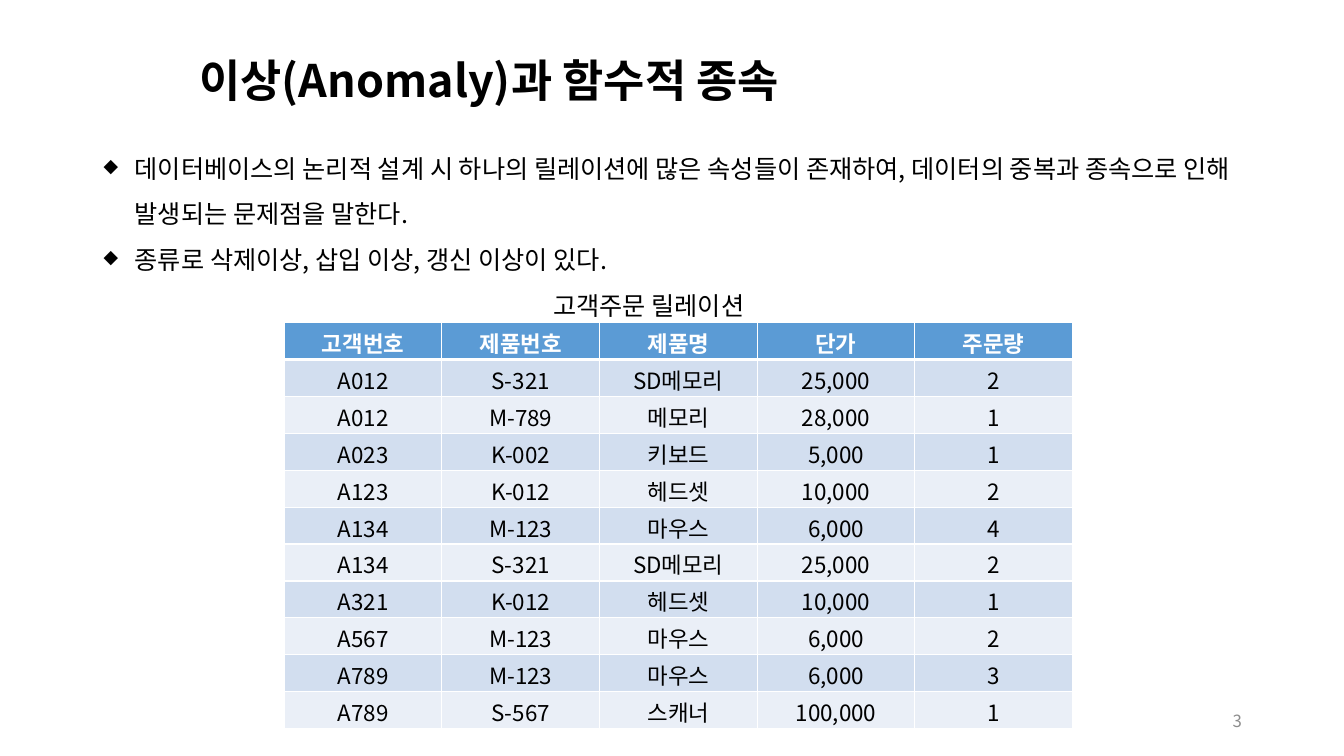
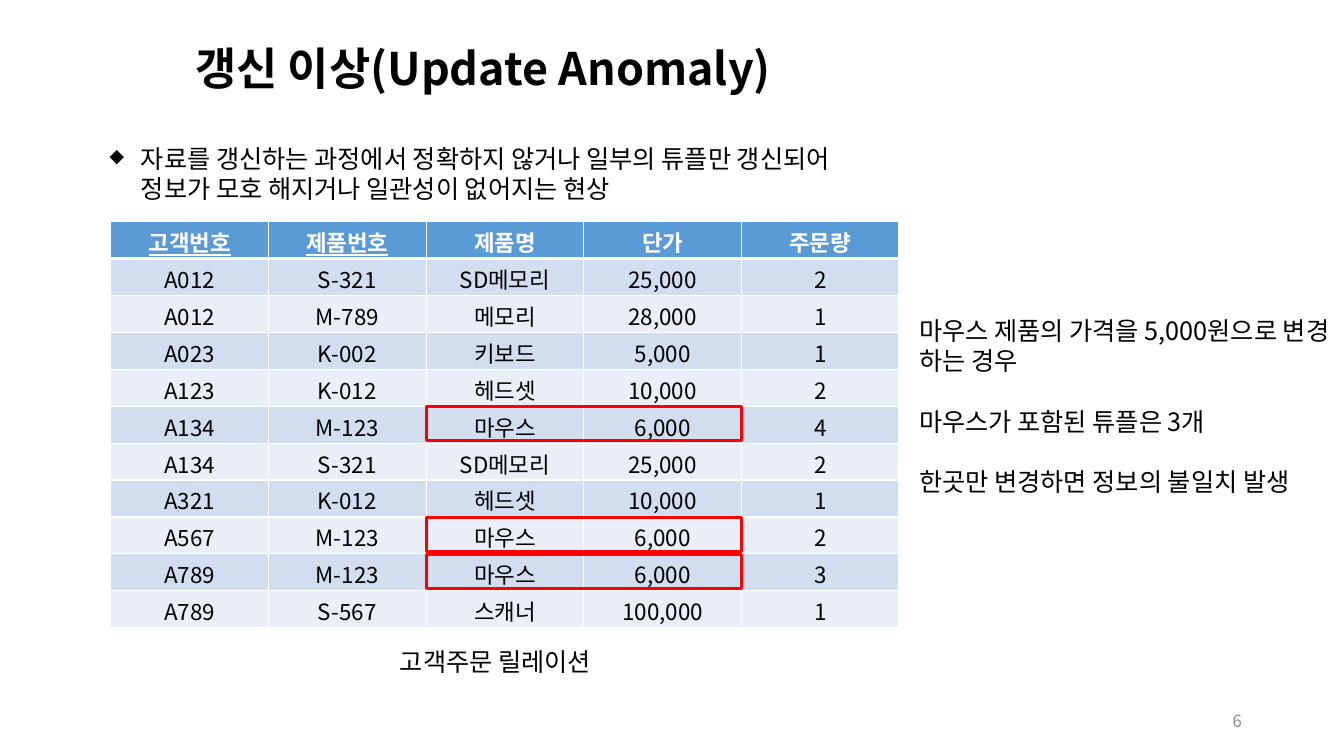
from lxml.etree import SubElement
from pptx import Presentation
from pptx.dml.color import RGBColor
from pptx.enum.shapes import MSO_SHAPE as Shape
from pptx.enum.text import MSO_ANCHOR as Anchor, MSO_AUTO_SIZE as AutoSize, PP_ALIGN as Align
from pptx.oxml import parse_xml
from pptx.oxml.ns import nsdecls, qn
from pptx.util import Inches, Pt

FONT = "Noto Sans CJK KR"
BLACK, WHITE, GRAY, RED = "000000", "FFFFFF", "8C8C8C", "FF0000"
HEADER, BANDS = "5B9BD5", ("EAEFF7", "D2DEEF")
TABLE_WIDTH, TABLE_HEIGHT = 58.65, 53.73
CAPTION = "고객주문 릴레이션"
ORDERS = [
    ("고객번호", "제품번호", "제품명", "단가", "주문량"),
    ("A012", "S-321", "SD메모리", "25,000", "2"),
    ("A012", "M-789", "메모리", "28,000", "1"),
    ("A023", "K-002", "키보드", "5,000", "1"),
    ("A123", "K-012", "헤드셋", "10,000", "2"),
    ("A134", "M-123", "마우스", "6,000", "4"),
    ("A134", "S-321", "SD메모리", "25,000", "2"),
    ("A321", "K-012", "헤드셋", "10,000", "1"),
    ("A567", "M-123", "마우스", "6,000", "2"),
    ("A789", "M-123", "마우스", "6,000", "3"),
    ("A789", "S-567", "스캐너", "100,000", "1"),
]
COLUMN, ROW = TABLE_WIDTH / len(ORDERS[0]), TABLE_HEIGHT / len(ORDERS)


def color(code):
    return RGBColor.from_string(code)


class SlideWriter:
    """Draws styled elements on the current slide, placed in percent of its size."""

    def __init__(self, deck):
        self.deck = deck
        self.page = None

    def start(self, title, left, top, number):
        self.page = self.deck.slides.add_slide(self.deck.slide_layouts[6])
        self.text([title], left, top, 73.4, 13.2, size=32, bold=True,
                  spacing=0.9, anchor=Anchor.MIDDLE)
        self.text([number], 70.65, 92.67, 22.5, 5.33, size=12, ink=GRAY,
                  align=Align.RIGHT, anchor=Anchor.MIDDLE)

    def place(self, left, top, width, height):
        across, down = self.deck.slide_width / 100, self.deck.slide_height / 100
        return [round(length) for length in
                (left * across, top * down, width * across, height * down)]

    def style(self, para, size, ink=BLACK, bold=False, underline=False, align=Align.LEFT):
        font = para.font
        font.name, font.size, font.bold, font.underline = FONT, Pt(size), bold, underline
        font.color.rgb = color(ink)
        para.alignment = align
        defaults = para._p.pPr.find(qn("a:defRPr"))
        SubElement(defaults, qn("a:ea"), typeface=FONT)
        return defaults

    def text(self, lines, left, top, width, height, size=18, spacing=None, gap=0,
             bullet=None, anchor=Anchor.TOP, **look):
        frame = self.page.shapes.add_textbox(*self.place(left, top, width, height)).text_frame
        frame.word_wrap, frame.vertical_anchor = True, anchor
        frame.auto_size = AutoSize.NONE
        for index, line in enumerate(lines):
            para = frame.add_paragraph() if index else frame.paragraphs[0]
            para.text = line
            para.line_spacing = spacing
            para.space_before = Pt(gap if index else 0)
            defaults = self.style(para, size, **look)
            if bullet:
                indent = Inches(0.31)
                para._p.pPr.set("marL", str(indent))
                para._p.pPr.set("indent", str(-indent))
                for mark in ('buSzPct {} val="75000"', f'buChar {{}} char="{bullet}"'):
                    defaults.addprevious(parse_xml(f'<a:{mark.format(nsdecls("a"))}/>'))

    def bullets(self, lines, left, top, height, spacing=None):
        self.text(lines, left, top, 87.6, height, spacing=spacing, bullet="◆")

    def caption(self, left, top):
        self.text([CAPTION], left, top, 20.02, 5.33)

    def borders(self, cell, row):
        weights = {"L": 1, "R": 1, "T": 3 if row == 1 else 1, "B": 3 if row == 0 else 1}
        for index, (side, weight) in enumerate(weights.items()):
            cell._tc.get_or_add_tcPr().insert(index, parse_xml(
                f'<a:ln{side} {nsdecls("a")} w="{Pt(weight)}"><a:solidFill>'
                f'<a:srgbClr val="{WHITE}"/></a:solidFill></a:ln{side}>'))

    def table(self, left, top, key_columns=0):
        area = self.place(left, top, TABLE_WIDTH, TABLE_HEIGHT)
        table = self.page.shapes.add_table(len(ORDERS), len(ORDERS[0]), *area).table
        for row, values in enumerate(ORDERS):
            for column, value in enumerate(values):
                cell, heading = table.cell(row, column), row == 0
                cell.text = value
                cell.margin_top, cell.margin_bottom = Inches(0.04), 0
                cell.fill.solid()
                cell.fill.fore_color.rgb = color(HEADER if heading else BANDS[row % 2])
                self.borders(cell, row)
                self.style(cell.text_frame.paragraphs[0], 16, WHITE if heading else BLACK,
                           heading, heading and column < key_columns, Align.CENTER)

    def highlight(self, left, top, width, height):
        box = self.page.shapes.add_shape(Shape.RECTANGLE, *self.place(left, top, width, height))
        box.shadow.inherit = False
        box.fill.background()
        box.line.color.rgb = color(RED)
        box.line.width = Pt(2.25)


deck = Presentation()
deck.slide_width, deck.slide_height = Inches(13.33), Inches(7.5)
writer = SlideWriter(deck)

writer.start("이상(Anomaly)과 함수적 종속", 14.1, 4.4, "3")
writer.bullets([
    "데이터베이스의 논리적 설계 시 하나의 릴레이션에 많은 속성들이 존재하여, "
    "데이터의 중복과 종속으로 인해 발생되는 문제점을 말한다.",
    "종류로 삭제이상, 삽입 이상, 갱신 이상이 있다.",
], 6.97, 17.6, 23.6, spacing=1.5)
writer.table(21.15, 42.67)
writer.caption(40.42, 37.73)

writer.start("갱신 이상(Update Anomaly)", 13.8, 2.8, "6")
writer.bullets(["자료를 갱신하는 과정에서 정확하지 않거나 일부의 튜플만 갱신되어\v"
                "정보가 모호 해지거나 일관성이 없어지는 현상"], 7.42, 18.27, 9.47)
table_left, table_top = 8.25, 29.33
writer.table(table_left, table_top, key_columns=2)
writer.text(["마우스 제품의 가격을 5,000원으로 변경 하는 경우",
             "마우스가 포함된 튜플은 3개",
             "한곳만 변경하면 정보의 불일치 발생"], 67.65, 41.07, 32.4, 25.6, gap=21.6)
for row, order in enumerate(ORDERS):
    if order[2] == "마우스":
        writer.highlight(table_left + 2 * COLUMN, table_top + row * ROW, 2 * COLUMN, 4.53)
writer.caption(29.02, 84.8)

deck.save("out.pptx")
